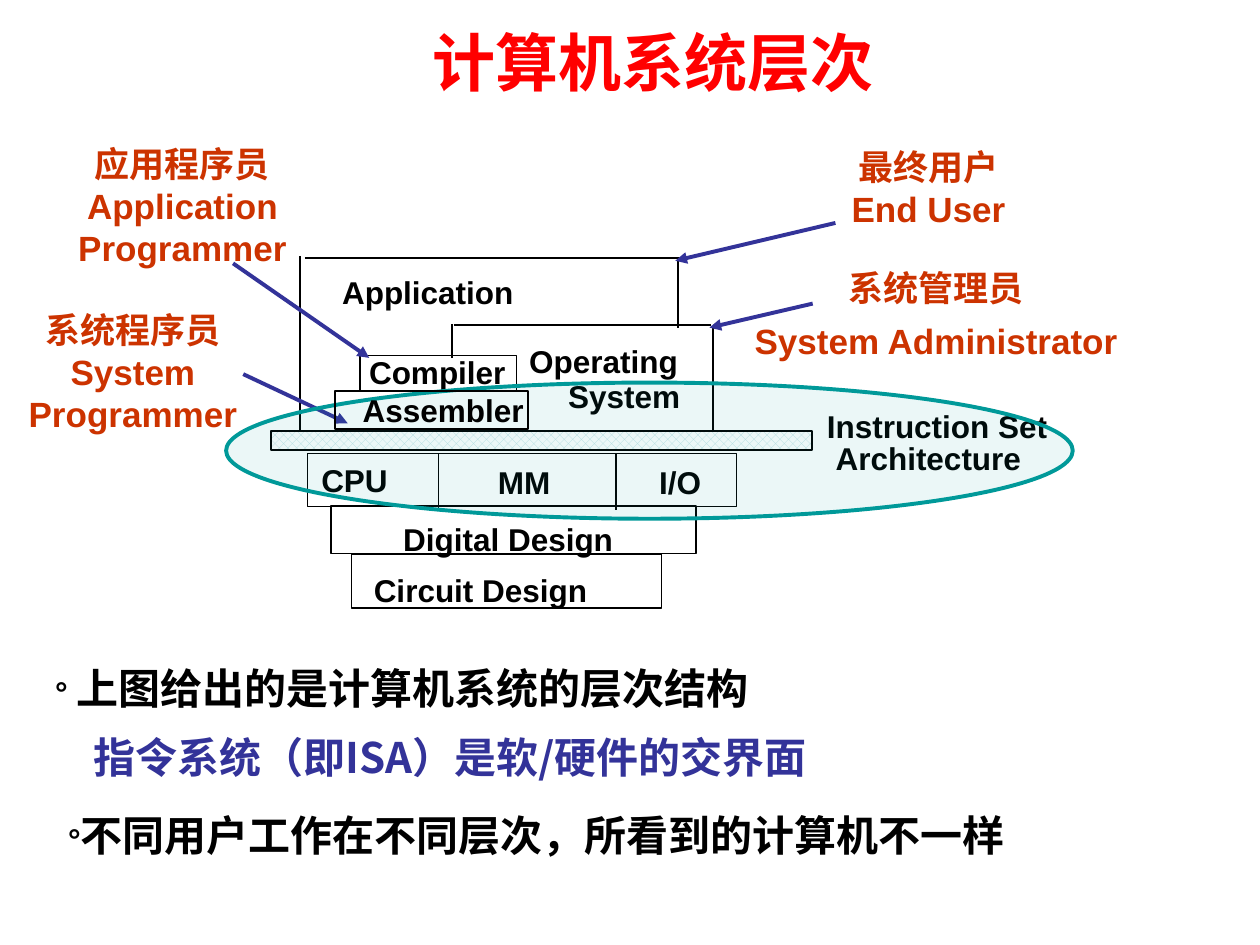
from lxml import etree
from pptx import Presentation
from pptx.dml.color import RGBColor
from pptx.enum import dml, shapes, text
from pptx.oxml.ns import qn
from pptx.util import Pt


class Theme:
    latin, cjk = "Arial", "Noto Sans CJK SC"
    title, black, role, accent = "FF0000", "000000", "CC3300", "333399"
    teal, pale, white = "009999", "BBE0E3", "FFFFFF"
    title_size, note_size, role_size, layer_size = 36, 24, 20, 18
    thin, thick = 1, 2.25


# Content: boxes are (left, top, width, height), lines are (x1, y1, x2, y2)
TITLE = ("计算机系统层次", (26.5, 11.5, 693.5, 47.5))
HARDWARE_BOXES = [
    (175.7, 259.2, 245.2, 30.2),  # CPU, MM, I/O
    (205.9, 203.2, 89.3, 20.2),   # compiler
    (189, 289.2, 208.8, 27.2),    # digital design
    (200.9, 316.4, 177.1, 31),    # circuit design
]
ISA_BAND = (154.8, 246.2, 309.2, 10.8)
ISA_ELLIPSE = (129.2, 218.6, 483.8, 77.8)
ASSEMBLER_BOX = (191.5, 223.6, 110.2, 21.6)
OUTLINES = [
    (352.1, 259.2, 352.1, 291.6), (250.6, 259.2, 250.6, 290.9),  # CPU | MM | I/O
    (258.5, 204.5, 258.5, 185), (259.2, 185.8, 406.1, 185.8),    # operating system
    (407.5, 186.5, 407.5, 245.5),
    (171.4, 245.5, 171.4, 146.2), (174.2, 147.6, 390.2, 147.6),  # application
    (387.4, 147.6, 387.4, 187.2),
]
ARROWS = [
    (477.4, 127.4, 385.9, 149), (133.2, 150.5, 211, 204.5),
    (464.4, 173.5, 405.4, 187.2), (139, 213.8, 198.7, 241.9),
]
LAYERS = [
    ("Application", (190.5, 153, 112, 26)),
    ("Compiler", (205.9, 199, 96, 26)),
    ("Operating", (297.4, 192.6, 99, 26)),
    ("System", (319.7, 212.4, 78, 26)),
    ("CPU", (178.6, 260.6, 52, 26)),
    ("MM", (279.6, 261.5, 44, 26)),
    ("I/O", (371.7, 262, 42, 26)),
    ("Digital Design", (225.4, 294.5, 136, 26)),
    ("Circuit Design", (208.6, 323.5, 142, 26)),
]
ASSEMBLER = ("Assembler", (202.3, 220.6, 108, 26))
ISA_LABEL = (["Instruction Set", "Architecture"], (467.5, 233.5, 142, 41))
ROLES = [  # Chinese and English name in one wrapping paragraph
    ("最终用户", "End User", (468.7, 79.5, 123.8, 55.4)),
    ("应用程序员", "Application Programmer", (33.4, 77.8, 141.8, 79.2)),
    ("系统程序员", "System Programmer", (9, 172.8, 133.9, 79.2)),
]
ADMIN = ("系统管理员", "System Administrator", (412.9, 149, 244.1, 62.6))
NOTES = (["上图给出的是计算机系统的层次结构", "指令系统（即ISA）是软/硬件的交界面"],
         (26.6, 370.4, 662.4, 78.5))
USERS_NOTE = ("不同用户工作在不同层次，所看到的计算机不一样", (34, 464.7, 624.2, 28.8))


def rgb(value):
    return RGBColor.from_string(value)


def run(words, size=Theme.layer_size, color=Theme.black, font=Theme.latin):
    return words, size, color, font


def write(box, paragraphs, into=None, align=text.PP_ALIGN.LEFT, spacing=1.02,
          before=0, indents=(), inset=(5, 2.4)):
    """Fill a text box, or the given placeholder, with paragraphs of runs."""
    area = into or slide.shapes.add_textbox(*map(Pt, box))
    area.left, area.top, area.width, area.height = map(Pt, box)
    frame = area.text_frame
    frame.word_wrap = True
    frame.auto_size = text.MSO_AUTO_SIZE.SHAPE_TO_FIT_TEXT
    frame.margin_left = frame.margin_right = Pt(inset[0])
    frame.margin_top = frame.margin_bottom = Pt(inset[1])
    for i, runs in enumerate(paragraphs):
        para = frame.paragraphs[0] if i == 0 else frame.add_paragraph()
        para.alignment, para.line_spacing, para.space_before = align, spacing, Pt(before)
        if indents and indents[i]:
            props = para._p.get_or_add_pPr()
            props.set("marL", str(Pt(indents[i])))
            props.set("indent", "0")
        for words, size, color, font in runs:
            part = para.add_run()
            part.text = words
            part.font.size, part.font.bold, part.font.name = Pt(size), True, font
            part.font.color.rgb = rgb(color)
            east_asian = etree.SubElement(part._r.get_or_add_rPr(), qn("a:ea"))
            east_asian.set("typeface", Theme.cjk)


def outline_shape(box, kind=shapes.MSO_SHAPE.RECTANGLE, color=Theme.black, weight=Theme.thin):
    shape = slide.shapes.add_shape(kind, *map(Pt, box))
    shape.shadow.inherit = False
    shape.fill.background()
    shape.line.color.rgb = rgb(color)
    shape.line.width = Pt(weight)
    return shape


def line(ends, color=Theme.black, weight=Theme.thin, arrow=False):
    link = slide.shapes.add_connector(shapes.MSO_CONNECTOR.STRAIGHT, *map(Pt, ends))
    link.line.color.rgb = rgb(color)
    link.line.width = Pt(weight)
    if arrow:
        etree.SubElement(link.line._get_or_add_ln(), qn("a:tailEnd")).set("type", "triangle")
    etree.SubElement(link._element.spPr, qn("a:effectLst"))


deck = Presentation()
deck.slide_width, deck.slide_height = Pt(720), Pt(540)
slide = deck.slides.add_slide(deck.slide_layouts[5])
centre = text.PP_ALIGN.CENTER

# Title
write(TITLE[1], [[run(TITLE[0], Theme.title_size, Theme.title)]],
      into=slide.shapes.title, align=centre, spacing=1.0)

# Layer outlines and their names
for box in HARDWARE_BOXES:
    outline_shape(box)
for ends in OUTLINES:
    line(ends)
for name, box in LAYERS:
    write(box, [[run(name)]])

# Instruction set band and label
band = outline_shape(ISA_BAND)
band.fill.patterned()
band.fill.pattern = dml.MSO_PATTERN.PERCENT_50
band.fill.fore_color.rgb = rgb(Theme.pale)
band.fill.back_color.rgb = rgb(Theme.white)
write(ISA_LABEL[1], [[run(words)] for words in ISA_LABEL[0]], spacing=0.85, indents=(0, 5))

# Notes
heading, isa_note = NOTES[0]
write(NOTES[1], [[run("° "), run(heading, Theme.note_size, font=Theme.cjk)],
                 [run(isa_note, Theme.note_size, Theme.accent, Theme.cjk)]],
      spacing=1.2, before=5, indents=(0, 22))
write(USERS_NOTE[1], [[run("°"), run(USERS_NOTE[0], Theme.note_size)]], spacing=0.85)

# Roles and the layers they work on
for ends in ARROWS:
    line(ends, Theme.accent, Theme.thick, arrow=True)


def role_runs(chinese, english):
    return [run(chinese, Theme.role_size, Theme.role, Theme.cjk),
            run(english, Theme.role_size, Theme.role)]


role_format = dict(align=centre, spacing=1.0, inset=(7.2, 3.6))
for chinese, english, box in ROLES:
    write(box, [role_runs(chinese, english)], before=10, **role_format)
write(ADMIN[2], [[part] for part in role_runs(*ADMIN[:2])], before=6, **role_format)

# Instruction set ellipse, with the assembler in front
ellipse = outline_shape(ISA_ELLIPSE, shapes.MSO_SHAPE.OVAL, Theme.teal, Theme.thick)
ellipse.fill.solid()
ellipse.fill.fore_color.rgb = rgb(Theme.teal)
tint = ellipse._element.spPr.find(qn("a:solidFill"))[0]
etree.SubElement(tint, qn("a:alpha")).set("val", "8000")
write(ASSEMBLER[1], [[run(ASSEMBLER[0])]])
outline_shape(ASSEMBLER_BOX)

deck.save("out.pptx")
